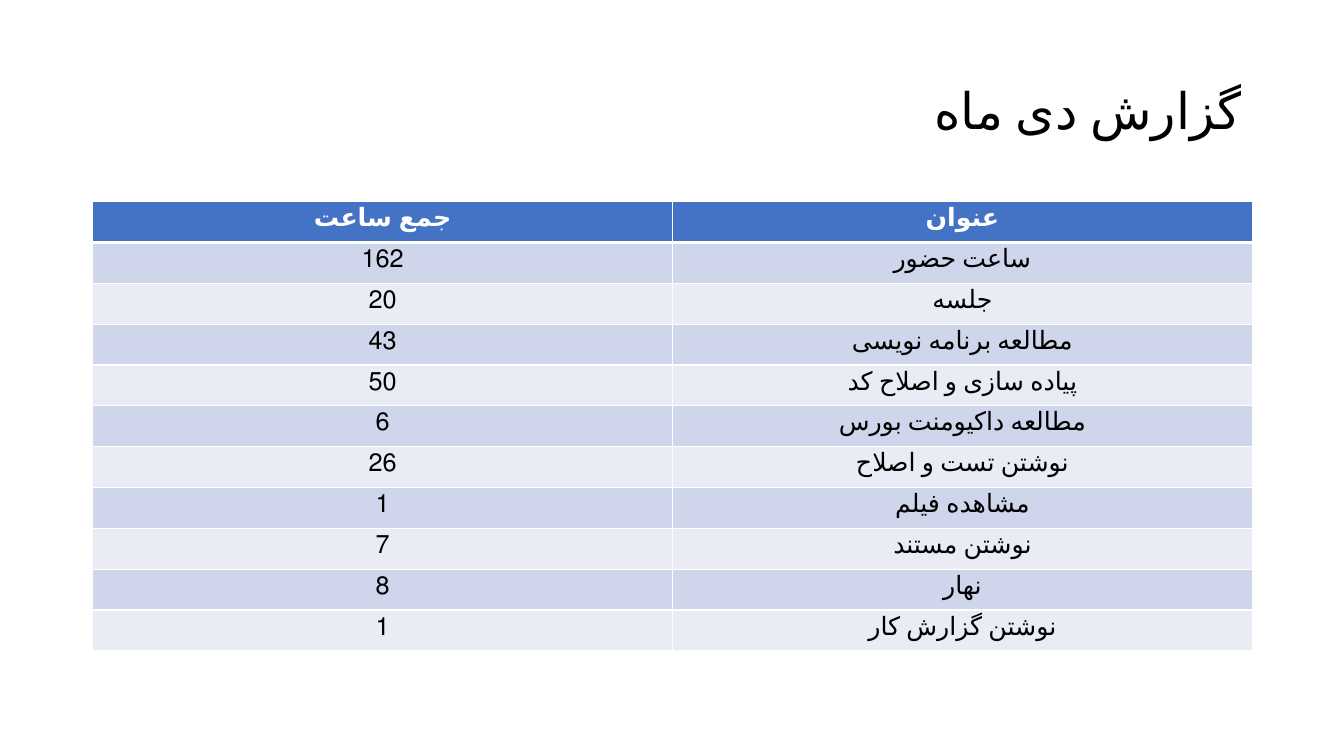
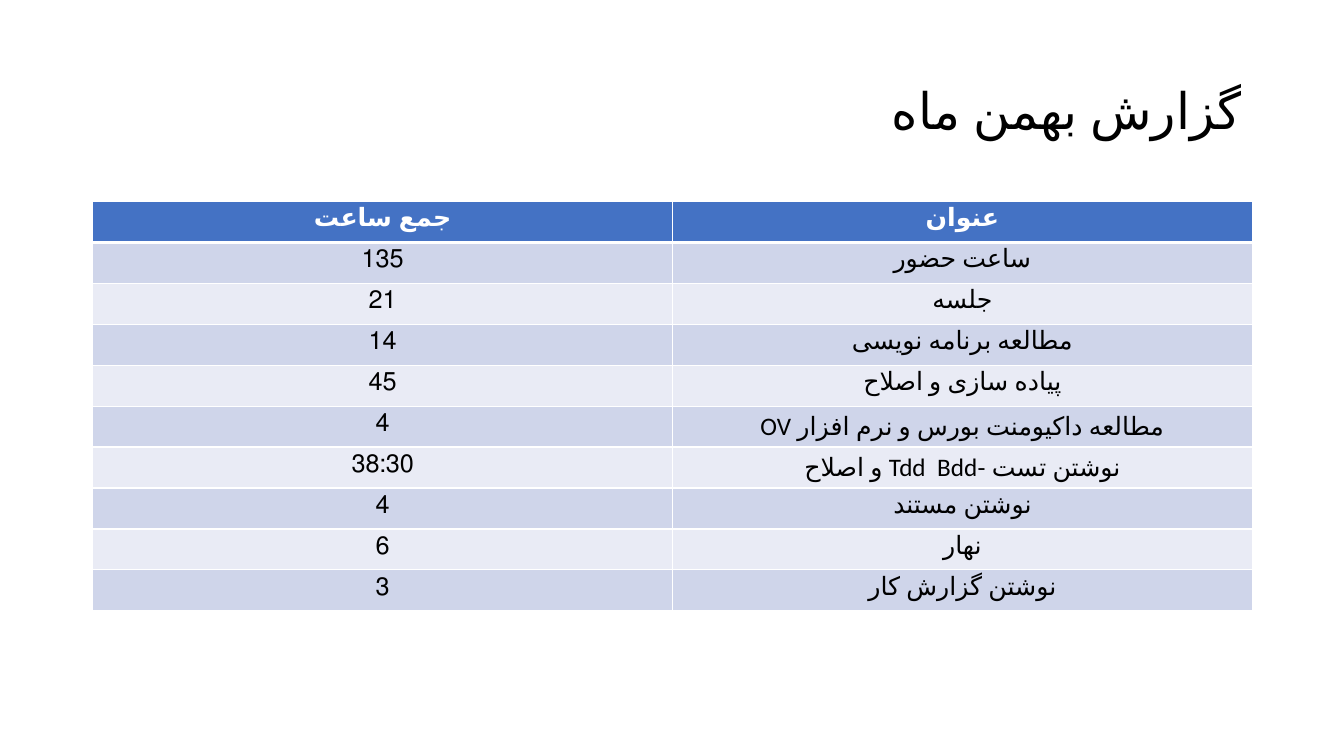
from lxml.etree import SubElement
from pptx import Presentation
from pptx.dml.color import RGBColor
from pptx.enum.lang import MSO_LANGUAGE_ID as Language
from pptx.enum.text import MSO_ANCHOR as Anchor, PP_ALIGN as Align
from pptx.oxml.ns import qn
from pptx.util import Inches, Pt

COLORS = {
    "header": "4472C4",
    "odd": "CFD5EA",
    "even": "E9EBF5",
    "white": "FFFFFF",
    "black": "000000",
}
BASE_FONT = {"name": "Calibri", "language_id": Language.FARSI}
TITLE_BOX = (0.92, 0.4, 11.5, 1.45)
TABLE_LEFT, TABLE_TOP, TABLE_WIDTH = 0.92, 2, 11.5
HEADINGS = ("جمع ساعت", "عنوان")

REPORTS = [
    ("گزارش دی ماه", 4.46, [
        ("162", "ساعت حضور"),
        ("20", "جلسه"),
        ("43", "مطالعه برنامه نویسی"),
        ("50", "پیاده سازی و اصلاح کد"),
        ("6", "مطالعه داکیومنت بورس"),
        ("26", "نوشتن تست و اصلاح"),
        ("1", "مشاهده فیلم"),
        ("7", "نوشتن مستند"),
        ("8", "نهار"),
        ("1", "نوشتن گزارش کار"),
    ]),
    ("گزارش بهمن ماه", 4.06, [
        ("135", "ساعت حضور"),
        ("21", "جلسه"),
        ("14", "مطالعه برنامه نویسی"),
        ("45", "پیاده سازی و اصلاح"),
        ("4", "مطالعه داکیومنت بورس و نرم افزار OV"),
        ("38:30", "نوشتن تست -Tdd  Bdd و اصلاح"),
        ("4", "نوشتن مستند"),
        ("6", "نهار"),
        ("3", "نوشتن گزارش کار"),
    ]),
]


def write(frame, text, color, align, **font_format):
    """Put one formatted run into a text frame and return its paragraph."""
    para = frame.paragraphs[0]
    para.alignment = align
    span = para.add_run()
    span.text = text
    for name, value in {**BASE_FONT, **font_format}.items():
        setattr(span.font, name, value)
    span.font.color.rgb = RGBColor.from_string(COLORS[color])
    return para


def add_title(page, text, box):
    """Place and format the title placeholder in the given box."""
    title = page.shapes.title
    for name, value in zip(("left", "top", "width", "height"), box):
        setattr(title, name, Inches(value))
    title.text_frame.vertical_anchor = Anchor.MIDDLE
    para = write(title.text_frame, text, "black", Align.RIGHT, size=Pt(36))
    para.line_spacing = 0.9


def set_borders(cell, widths):
    """Draw white cell borders, given widths in points by side."""
    properties = cell._tc.get_or_add_tcPr()
    for index, (side, width) in enumerate(widths.items()):
        line = SubElement(properties, qn(f"a:ln{side}"), w=str(Pt(width)))
        fill = SubElement(line, qn("a:solidFill"))
        SubElement(fill, qn("a:srgbClr"), val=COLORS["white"])
        properties.insert(index, line)


def format_cell(cell, text, row):
    """Fill a cell and write its text in the style of its row."""
    is_header = row == 0
    fill_name = "header" if is_header else ("even", "odd")[row % 2]
    cell.fill.solid()
    cell.fill.fore_color.rgb = RGBColor.from_string(COLORS[fill_name])
    color = "white" if is_header else "black"
    para = write(cell.text_frame, text, color, Align.CENTER,
                 size=Pt(18), bold=is_header)
    para._p.get_or_add_pPr().set("rtl", "1")
    set_borders(cell, {"L": 1, "R": 1, "T": 3 if row == 1 else 1,
                       "B": 3 if is_header else 1})


def add_hours_table(page, records, box):
    """Add the table of hours in the given box."""
    rows = [HEADINGS, *records]
    frame = page.shapes.add_table(len(rows), len(HEADINGS), *map(Inches, box))
    table = frame.table
    table.horz_banding = False
    for row, texts in enumerate(rows):
        for column, text in enumerate(texts):
            format_cell(table.cell(row, column), text, row)


def add_report(deck, title, height, records):
    """Add one monthly report slide."""
    page = deck.slides.add_slide(deck.slide_layouts[5])
    add_title(page, title, TITLE_BOX)
    add_hours_table(page, records, (TABLE_LEFT, TABLE_TOP, TABLE_WIDTH, height))


def main():
    """Build and save the deck."""
    deck = Presentation()
    deck.slide_width, deck.slide_height = Inches(13.33), Inches(7.5)
    for report in REPORTS:
        add_report(deck, *report)
    deck.save("out.pptx")


if __name__ == "__main__":
    main()
